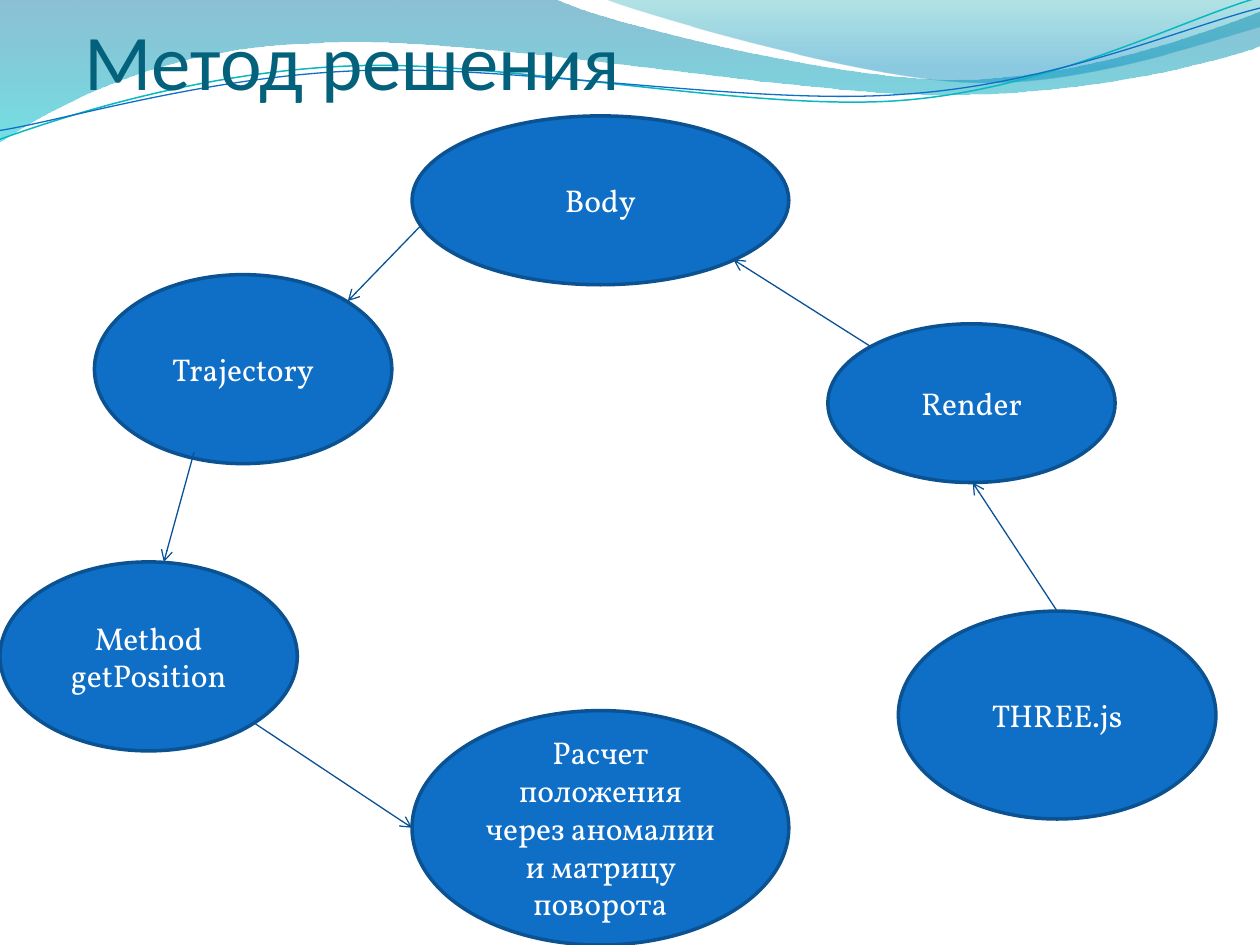
from lxml import etree
from pptx import Presentation
from pptx.dml.color import RGBColor
from pptx.enum.shapes import MSO_CONNECTOR, MSO_SHAPE
from pptx.enum.text import MSO_ANCHOR, PP_ALIGN
from pptx.oxml import parse_xml
from pptx.oxml.ns import nsdecls, qn
from pptx.util import Inches, Pt

ELLIPSE = MSO_SHAPE.OVAL
STRAIGHT = MSO_CONNECTOR.STRAIGHT
CENTER = PP_ALIGN.CENTER
MIDDLE, BOTTOM = MSO_ANCHOR.MIDDLE, MSO_ANCHOR.BOTTOM

BLUE = RGBColor(0x0F, 0x6F, 0xC6)
OUTLINE = RGBColor(0x0B, 0x52, 0x92)
ARROW = RGBColor(0x09, 0x52, 0x95)
TITLE = RGBColor(0x04, 0x61, 0x7B)
TEAL = RGBColor(0x0A, 0xB8, 0xBF)
WHITE = RGBColor(0xFF, 0xFF, 0xFF)
DEEP_BLUE = RGBColor(0x00, 0x74, 0xA1)
CYAN = RGBColor(0x00, 0xC6, 0xCF)
SEA = RGBColor(0x00, 0xA1, 0xA9)
SKY = RGBColor(0x00, 0x8B, 0xBF)

prs = Presentation()
prs.slide_width, prs.slide_height = Inches(10), Inches(7.5)
CELL = prs.slide_width / 10  # square grid: 10 columns by 7.5 rows
s = prs.slides.add_slide(prs.slide_layouts[6])


def grid(*values):
    """Turn columns and rows into slide lengths."""
    return [round(v * CELL) for v in values]


def add_wave(path, closed):
    """Draw a path of points (2 numbers) and cubic curves (6 numbers)."""
    fb = s.shapes.build_freeform(*grid(*path[0]))
    fb.add_line_segments([grid(*seg[-2:]) for seg in path[1:]], close=closed)
    sp = fb.convert_to_shape()
    sp.shadow.inherit = False
    lines = list(sp._element.iter(qn("a:lnTo")))
    for line, seg in zip(lines, path[1:]):
        if len(seg) == 6:
            curve = etree.Element(qn("a:cubicBezTo"))
            for x, y in zip(grid(*seg[::2]), grid(*seg[1::2])):
                etree.SubElement(curve, qn("a:pt"), x=str(x - sp.left), y=str(y - sp.top))
            line.getparent().replace(line, curve)
    return sp


# Filled waves: path, then gradient stops as (position %, colour, opacity %)
bands = [
    ([(0, 0), (4.4, -0.01), (4.76, 0.17, 6.64, 0.63, 7.58, 0.63),
      (8.53, 0.63, 9.58, 0.26, 10, 0.09), (10.01, 0.36),
      (9.83, 0.44, 8.7, 0.76, 7.46, 0.75), (6.22, 0.75, 3.82, 0.28, 2.57, 0.34),
      (1.29, 0.36, 0.46, 0.83, -0.01, 1.13)],
     [(0, DEEP_BLUE, 45), (100, CYAN, 55)]),
    ([(4.79, -0.01), (5.09, 0.11, 6.82, 0.62, 7.69, 0.65),
      (8.56, 0.69, 9.61, 0.32, 10, 0.21), (10, 0)],
     [(0, SEA, 30), (80, SKY, 45)]),
]
for path, stops in bands:
    sp = add_wave(path, True)
    sp.line.fill.background()
    gs = "".join(
        f'<a:gs pos="{pos * 1000}"><a:srgbClr val="{color}">'
        f'<a:alpha val="{alpha * 1000}"/></a:srgbClr></a:gs>'
        for pos, color, alpha in stops)
    sp._element.spPr.find(qn("a:custGeom")).addnext(parse_xml(
        f'<a:gradFill {nsdecls("a")} rotWithShape="1"><a:gsLst>{gs}</a:gsLst>'
        '<a:lin ang="5400000" scaled="0"/></a:gradFill>'))

# Thin wave lines, tilted together
strands = [
    ([(-0.02, 0.87), (0.47, 0.72, 1.58, 0.41, 2.78, 0.42),
      (3.96, 0.42, 5.91, 0.93, 7.12, 0.9), (8.32, 0.87, 9.4, 0.36, 10, 0.22)],
     TEAL, 0.85),
    ([(-0.02, 0.8), (0.46, 0.75, 1.64, 0.45, 2.83, 0.46),
      (4.04, 0.46, 5.96, 0.89, 7.16, 0.85), (8.35, 0.83, 9.42, 0.42, 10.02, 0.3)],
     BLUE, 0.75),
]
for path, color, width in strands:
    sp = add_wave(path, False)
    sp.rotation = 357.3
    sp.fill.background()
    sp.line.color.rgb = color
    sp.line.width = Pt(width)

# Title
tf = s.shapes.add_textbox(*grid(0.67, 0, 9, 0.84)).text_frame
tf.word_wrap = True
tf.vertical_anchor = BOTTOM
tf.margin_left = tf.margin_right = tf.margin_bottom = 0
tf.text = "Метод решения"
font = tf.paragraphs[0].runs[0].font
font.name, font.size, font.color.rgb = "Calibri", Pt(45), TITLE

# Nodes: text, left, top, width, height
nodes = [
    ("Body", 3.27, 0.92, 2.99, 1.34),
    ("Trajectory", 0.75, 2.18, 2.36, 1.5),
    ("Method\ngetPosition", 0, 4.46, 2.36, 1.5),
    ("Render", 6.57, 2.57, 2.28, 1.26),
    ("THREE.js", 7.13, 4.85, 2.52, 1.65),
    ("Расчет положения через аномалии и матрицу поворота", 3.27, 5.64, 2.99, 1.86),
]
for text, *box in nodes:
    sp = s.shapes.add_shape(ELLIPSE, *grid(*box))
    sp.shadow.inherit = False
    sp.fill.solid()
    sp.fill.fore_color.rgb = BLUE
    sp.line.color.rgb = OUTLINE
    sp.line.width = Pt(2)
    tf = sp.text_frame
    tf.word_wrap = True
    tf.vertical_anchor = MIDDLE
    tf.text = text
    for p in tf.paragraphs:
        p.alignment = CENTER
        font = p.runs[0].font
        font.name, font.size, font.color.rgb = "Vollkorn", Pt(18), WHITE

# Arrows: from x, y, to x, y
arrows = [
    (3.35, 1.78, 2.76, 2.39),  # Body to Trajectory
    (1.54, 3.59, 1.3, 4.46),   # Trajectory to getPosition
    (6.91, 2.75, 5.82, 2.06),  # Render to Body
    (8.39, 4.85, 7.72, 3.83),  # THREE.js to Render
    (2.02, 5.74, 3.27, 6.57),  # getPosition to the calculation
]
for ends in arrows:
    cn = s.shapes.add_connector(STRAIGHT, *grid(*ends))
    cn.line.color.rgb = ARROW
    cn.line.width = Pt(0.75)
    etree.SubElement(cn.line._get_or_add_ln(), qn("a:tailEnd"), type="arrow")
    etree.SubElement(cn._element.spPr, qn("a:effectLst"))

prs.save("out.pptx")
